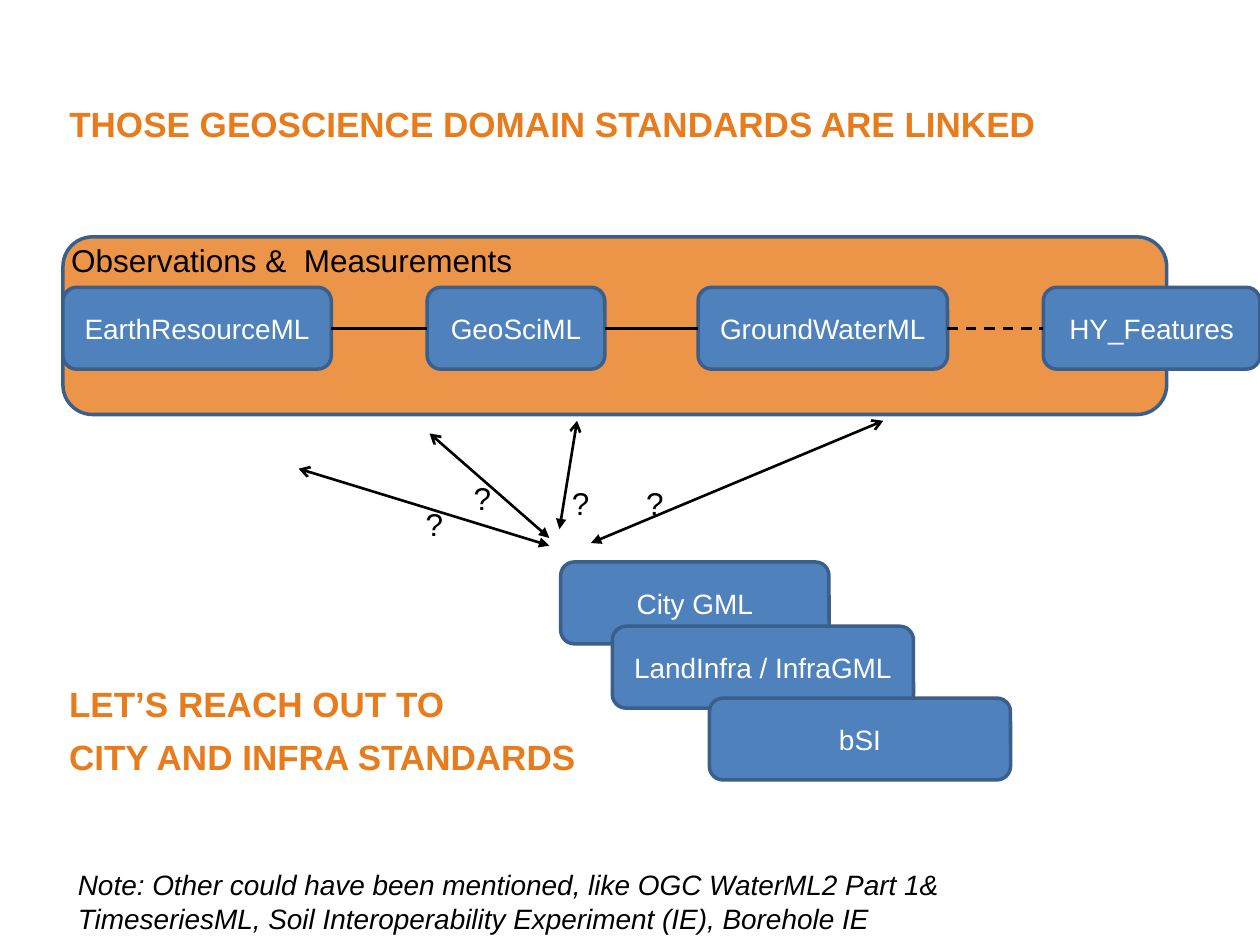
"""Build the slide on linked geoscience domain standards."""
from lxml import etree
from pptx import Presentation
from pptx.dml.color import RGBColor
from pptx.enum.dml import MSO_LINE
from pptx.enum.shapes import MSO_CONNECTOR, MSO_SHAPE
from pptx.enum.text import MSO_ANCHOR, MSO_AUTO_SIZE, PP_ALIGN
from pptx.oxml.ns import qn
from pptx.util import Inches, Pt

ROUNDED = MSO_SHAPE.ROUNDED_RECTANGLE
STRAIGHT = MSO_CONNECTOR.STRAIGHT
DASH = MSO_LINE.DASH
TOP, MIDDLE = MSO_ANCHOR.TOP, MSO_ANCHOR.MIDDLE
NO_FIT = MSO_AUTO_SIZE.NONE
LEFT, CENTER = PP_ALIGN.LEFT, PP_ALIGN.CENTER

COLORS = {"orange": "E87B1C", "blue": "4F81BD", "outline": "3A5F8C",
          "black": "000000", "white": "FFFFFF"}
FORMATS = {
    "heading": {"size": Pt(20), "bold": True, "italic": False, "color": "orange"},
    "label": {"size": Pt(18), "bold": False, "italic": False, "color": "black"},
    "note": {"size": Pt(16), "bold": False, "italic": True, "color": "black"},
    "box": {"size": Pt(16), "bold": False, "italic": False, "color": "white"},
}
BOX_HEIGHT = 0.65
STANDARDS_TOP = 2.28
LINK_Y = STANDARDS_TOP + BOX_HEIGHT / 2


class SlideBuilder:
    """Hold the style and the current slide, and draw its elements."""

    def __init__(self, slide, font="Arial"):
        """Keep the slide and the font name."""
        self.slide = slide
        self.font = font

    def color(self, name):
        """Return the named colour."""
        return RGBColor.from_string(COLORS[name])

    def fill_text(self, frame, lines, style, align=LEFT, anchor=TOP, after=0):
        """Fill a text frame with one paragraph per line."""
        layout = {"word_wrap": True, "auto_size": NO_FIT, "vertical_anchor": anchor}
        for key, value in layout.items():
            setattr(frame, key, value)
        frame.text = "\n".join(lines)
        for paragraph in frame.paragraphs:
            paragraph.alignment = align
            paragraph.space_after = Pt(after)
            paragraph.font.name = self.font
            for key, value in FORMATS[style].items():
                if key == "color":
                    paragraph.font.color.rgb = self.color(value)
                else:
                    setattr(paragraph.font, key, value)

    def title(self, text, *bounds):
        """Move and fill the title placeholder."""
        heading = self.slide.shapes.title
        for key, value in zip(("left", "top", "width", "height"), bounds):
            setattr(heading, key, Inches(value))
        self.fill_text(heading.text_frame, [text], "heading", after=6)

    def text(self, lines, style, *bounds, **layout):
        """Add a text box."""
        area = self.slide.shapes.add_textbox(*map(Inches, bounds))
        self.fill_text(area.text_frame, lines, style, **layout)

    def panel(self, fill, *bounds, opacity=100):
        """Add an outlined rounded rectangle and return it."""
        panel = self.slide.shapes.add_shape(ROUNDED, *map(Inches, bounds))
        panel.shadow.inherit = False
        panel.fill.solid()
        panel.fill.fore_color.rgb = self.color(fill)
        panel.line.color.rgb = self.color("outline")
        panel.line.width = Pt(2)
        if opacity < 100:
            tint = panel._element.spPr.find(qn("a:solidFill")).find(qn("a:srgbClr"))
            etree.SubElement(tint, qn("a:alpha"), val=str(opacity * 1000))
        return panel

    def box(self, name, left, top, width):
        """Add a blue box that names a standard."""
        box = self.panel("blue", left, top, width, BOX_HEIGHT)
        self.fill_text(box.text_frame, [name], "box", align=CENTER, anchor=MIDDLE)

    def line(self, start, end, dash=None, arrows=False):
        """Add a straight line, with arrowheads at both ends on request."""
        line = self.slide.shapes.add_connector(STRAIGHT, *map(Inches, start + end))
        line.line.color.rgb = self.color("black")
        line.line.width = Pt(1.5)
        if dash:
            line.line.dash_style = dash
        if arrows:
            outline = line._element.spPr.find(qn("a:ln"))
            etree.SubElement(outline, qn("a:headEnd"), type="triangle")
            etree.SubElement(outline, qn("a:tailEnd"), type="arrow")
        etree.SubElement(line._element.spPr, qn("a:effectLst"))


def main():
    """Draw the slide and save it."""
    deck = Presentation()
    deck.slide_width, deck.slide_height = Inches(10), Inches(7.5)
    builder = SlideBuilder(deck.slides.add_slide(deck.slide_layouts[5]))

    builder.title("THOSE GEOSCIENCE DOMAIN STANDARDS ARE LINKED", 0.45, 0.76, 9.06, 3.38)
    builder.panel("orange", 0.5, 1.88, 8.76, 1.41, opacity=80)

    open_links = [((4.36, 4.33), (2.37, 3.72)), ((4.36, 4.27), (3.41, 3.44)),
                  ((4.44, 4.2), (4.58, 3.34)), ((4.69, 4.31), (7.01, 3.34))]
    for start, end in open_links:
        builder.line(start, end, arrows=True)
    for left, top in [(3.28, 3.96), (3.66, 3.75), (4.44, 3.79), (5.03, 3.79)]:
        builder.text(["?"], "label", left, top, 0.25, 0.31)

    builder.text(["Note: Other could have been mentioned, like OGC WaterML2 Part 1& "
                  "TimeseriesML, Soil Interoperability Experiment (IE), Borehole IE"],
                 "note", 0.52, 6.84, 7.76, 0.64)

    geoscience = [("EarthResourceML", 0.5, 2.13), ("GeoSciML", 3.39, 1.41),
                  ("GroundWaterML", 5.54, 1.98), ("HY_Features", 8.28, 1.72)]
    for name, left, width in geoscience:
        builder.box(name, left, STANDARDS_TOP, width)
    for (_, left, width), (name, following, _) in zip(geoscience, geoscience[1:]):
        builder.line((left + width, LINK_Y), (following, LINK_Y),
                     dash=DASH if name == "HY_Features" else None)
    builder.text(["Observations &  Measurements"], "label",
                 0.12, 1.86, 4.39, 0.71, align=CENTER)

    city_and_infra = [("City GML", 4.45, 4.46, 2.13),
                      ("LandInfra / InfraGML", 4.86, 4.97, 2.39),
                      ("bSI", 5.63, 5.54, 2.39)]
    for standard in city_and_infra:
        builder.box(*standard)
    builder.text(["LET’S REACH OUT TO", "CITY AND INFRA STANDARDS"], "heading",
                 0.45, 5.37, 9.06, 1.28, after=6)

    deck.save("out.pptx")


if __name__ == "__main__":
    main()
